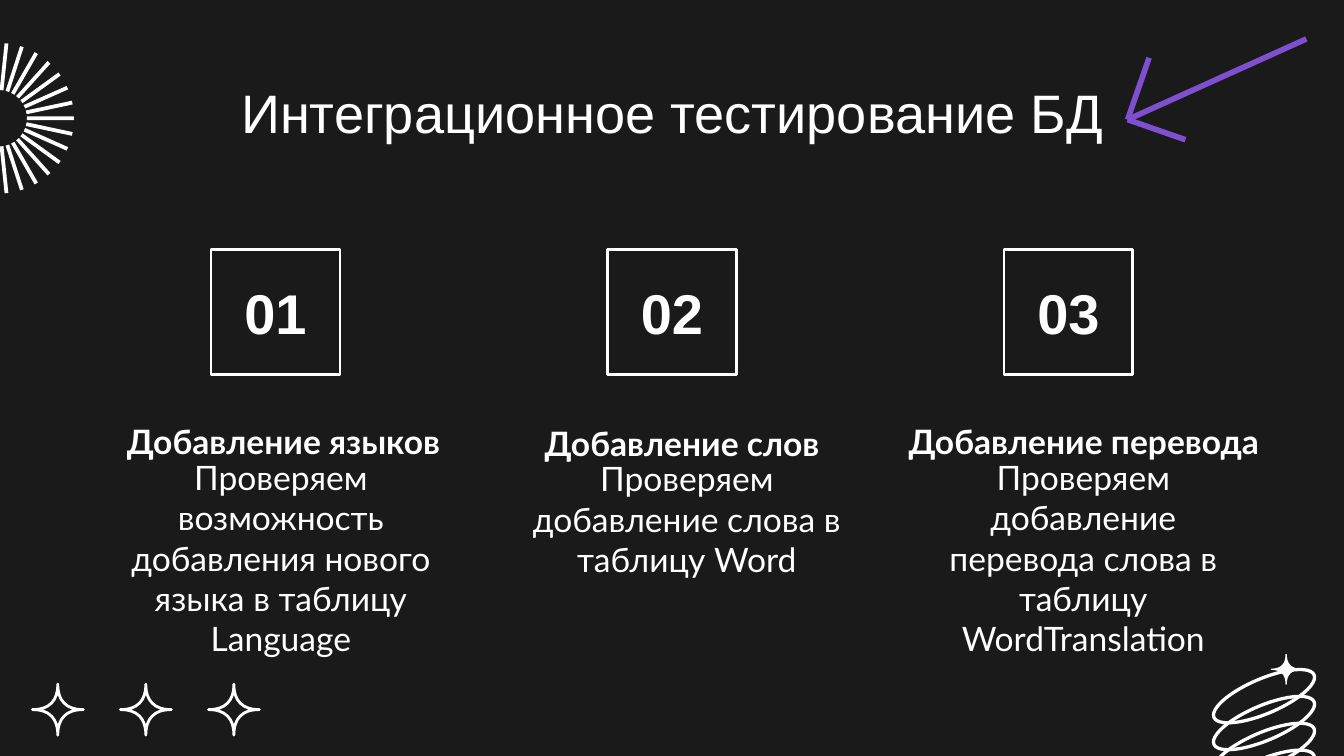
import math

from lxml import etree
from pptx import Presentation
from pptx.dml.color import RGBColor
from pptx.enum.shapes import MSO_CONNECTOR, MSO_SHAPE
from pptx.enum.text import MSO_ANCHOR, PP_ALIGN
from pptx.oxml.ns import qn
from pptx.util import Inches, Pt

STRAIGHT = MSO_CONNECTOR.STRAIGHT
RECTANGLE, OVAL = MSO_SHAPE.RECTANGLE, MSO_SHAPE.OVAL
TOP, MIDDLE, BOTTOM = MSO_ANCHOR.TOP, MSO_ANCHOR.MIDDLE, MSO_ANCHOR.BOTTOM
CENTER = PP_ALIGN.CENTER
TITLE_ONLY = 5

DARK, WHITE, PURPLE = "1A1A1A", "FFFFFF", "7E4FCF"

# number, heading, heading box, description, description box (left, top, width, height)
COLUMNS = [
    ("01", "Добавление языков", (0.56, 2.71, 2.95, 0.82),
     "Проверяем возможность добавления нового языка в таблицу Language",
     (0.58, 3.3, 3.02, 0.68)),
    ("02", "Добавление слов", (3.74, 2.73, 2.52, 0.82),
     "Проверяем добавление слова в таблицу Word",
     (3.85, 3.31, 2.52, 0.68)),
    ("03", "Добавление перевода", (6.3, 2.71, 3.38, 0.82),
     "Проверяем добавление перевода слова в таблицу WordTranslation",
     (6.8, 3.3, 2.52, 0.68)),
]


def color(hex_value):
    return RGBColor.from_string(hex_value)


def place(shape, box):
    shape.left, shape.top, shape.width, shape.height = map(Inches, box)


def style_shape(shape, fill=None, line=None, weight=1.5):
    shape.shadow.inherit = False
    if fill:
        shape.fill.solid()
        shape.fill.fore_color.rgb = color(fill)
    else:
        shape.fill.background()
    if line:
        shape.line.color.rgb = color(line)
        shape.line.width = Pt(weight)
    else:
        shape.line.fill.background()


def write_text(shape, text, size, font_name, bold=False, anchor=TOP):
    """Fill a shape with one centred white paragraph and return it."""
    frame = shape.text_frame
    frame.word_wrap = True
    frame.vertical_anchor = anchor
    frame.margin_left = frame.margin_right = Inches(0.1)
    frame.margin_top = frame.margin_bottom = Inches(0.1)
    paragraph = frame.paragraphs[0]
    paragraph.text = text
    paragraph.alignment = CENTER
    font = paragraph.font
    font.name, font.size, font.bold = font_name, Pt(size), bold
    font.color.rgb = color(WHITE)
    return paragraph


def add_text(slide, text, box, bold=False, anchor=TOP):
    shape = slide.shapes.add_textbox(*map(Inches, box))
    return write_text(shape, text, 18, "Lato", bold, anchor)


def add_column(slide, index, number, heading, heading_box, description, description_box):
    square = slide.shapes.add_shape(
        RECTANGLE, Inches(1.57 + 2.95 * index), Inches(1.86), Inches(0.96), Inches(0.93))
    style_shape(square, line=WHITE)
    write_text(square, number, 30, "Arial", bold=True, anchor=MIDDLE)
    add_text(slide, description, description_box)
    paragraph = add_text(slide, heading, heading_box, bold=True, anchor=BOTTOM)
    # Hanging indent of the heading
    properties = paragraph._p.get_or_add_pPr()
    properties.set("marL", str(Inches(0.5)))
    properties.set("indent", str(Inches(-0.35)))


def add_outline(slide, contours):
    """Build one freeform from closed contours given in inches."""
    contours = [[(Inches(x), Inches(y)) for x, y in contour] for contour in contours]
    builder = slide.shapes.build_freeform(*contours[0][0])
    for index, contour in enumerate(contours):
        if index:
            builder.move_to(*contour[0])
        builder.add_line_segments(contour[1:], close=True)
    return builder.convert_to_shape()


def star_points(center_x, center_y, radius, steps=48):
    """Four-pointed star with concave sides."""
    points = []
    for step in range(steps):
        angle = 2 * math.pi * step / steps
        cosine, sine = math.cos(angle), math.sin(angle)
        points.append((center_x + radius * math.copysign(cosine ** 4, cosine),
                       center_y + radius * math.copysign(sine ** 4, sine)))
    return points


def ray_points(center_x, center_y, inner, outer, angle, half_width):
    cosine, sine = math.cos(angle), math.sin(angle)
    corners = [(inner, -half_width), (outer, -half_width),
               (outer, half_width), (inner, half_width)]
    return [(center_x + along * cosine - across * sine,
             center_y + along * sine + across * cosine) for along, across in corners]


def add_decorations(slide):
    # Row of outlined stars
    stars = add_outline(slide, [star_points(0.43 + 0.655 * i, 5.28, 0.19) for i in range(3)])
    style_shape(stars, line=WHITE)

    # Spring of tilted rings with a sparkle
    for index in range(4):
        ring = slide.shapes.add_shape(
            OVAL, Inches(9), Inches(5.05 + 0.2 * index), Inches(0.81), Inches(0.26))
        ring.rotation = -23
        style_shape(ring, line=WHITE, weight=1.75)
    sparkle = add_outline(slide, [star_points(9.57, 4.98, 0.11)])
    style_shape(sparkle, fill=WHITE, line=WHITE, weight=0.75)

    # Sunburst at the left edge
    sunburst = add_outline(slide, [
        ray_points(-0.01, 0.88, 0.21, 0.56, math.radians(12 * i), 0.014) for i in range(30)])
    style_shape(sunburst, fill=WHITE)


def add_line(slide, start, end):
    line = slide.shapes.add_connector(STRAIGHT, *map(Inches, start + end))
    line.line.color.rgb = color(PURPLE)
    line.line.width = Pt(3)
    etree.SubElement(line._element.spPr, qn("a:effectLst"))


def main():
    presentation = Presentation()
    # Widescreen 16:9
    presentation.slide_width = Inches(10)
    presentation.slide_height = Inches(10) * 9 // 16
    slide = presentation.slides.add_slide(presentation.slide_layouts[TITLE_ONLY])
    slide.background.fill.solid()
    slide.background.fill.fore_color.rgb = color(DARK)

    add_decorations(slide)

    # Title
    title = slide.shapes.title
    place(title, (0.79, 0.49, 8.43, 0.63))
    write_text(title, "Интеграционное тестирование БД", 29, "Arial")

    # Numbered columns
    for index, column in enumerate(COLUMNS):
        add_column(slide, index, *column)

    # Arrow: shaft and two barbs from the tip
    for end in [(9.72, 0.29), (8.82, 1.04), (8.55, 0.43)]:
        add_line(slide, (8.39, 0.89), end)

    presentation.save("out.pptx")


if __name__ == "__main__":
    main()
